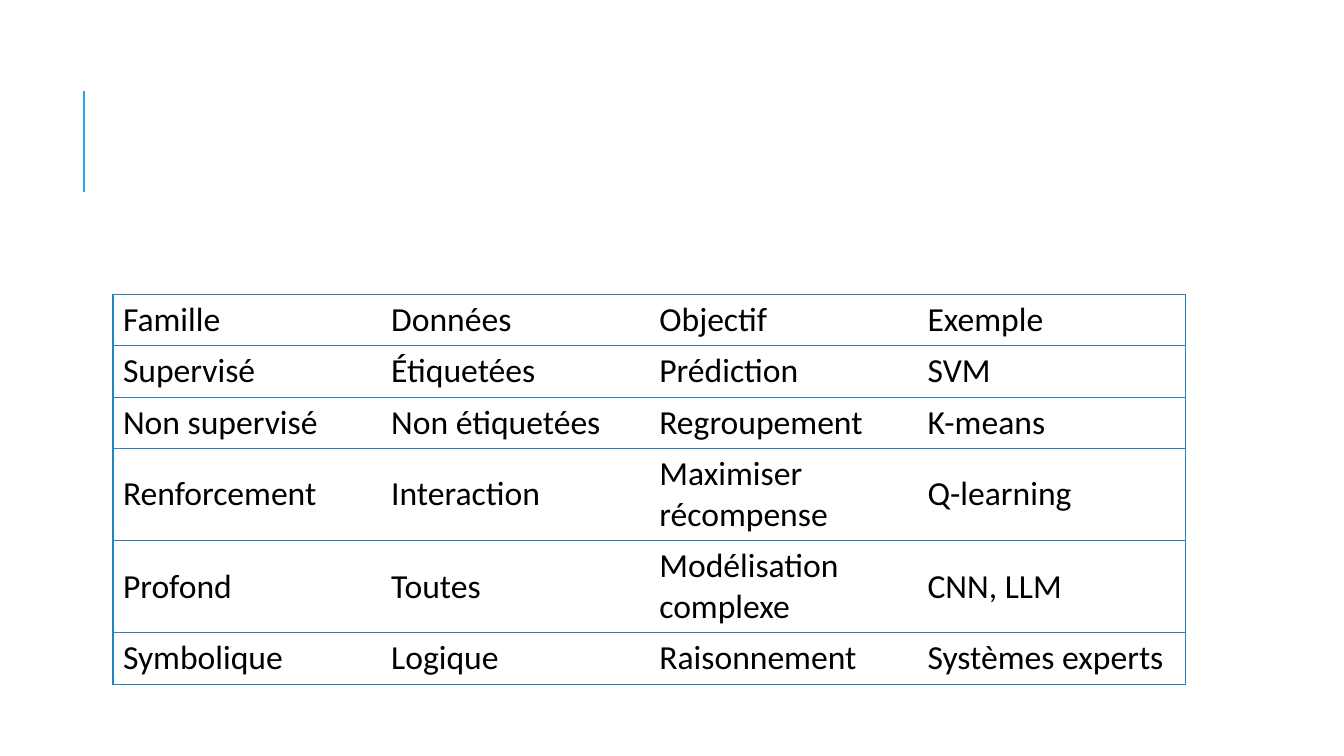
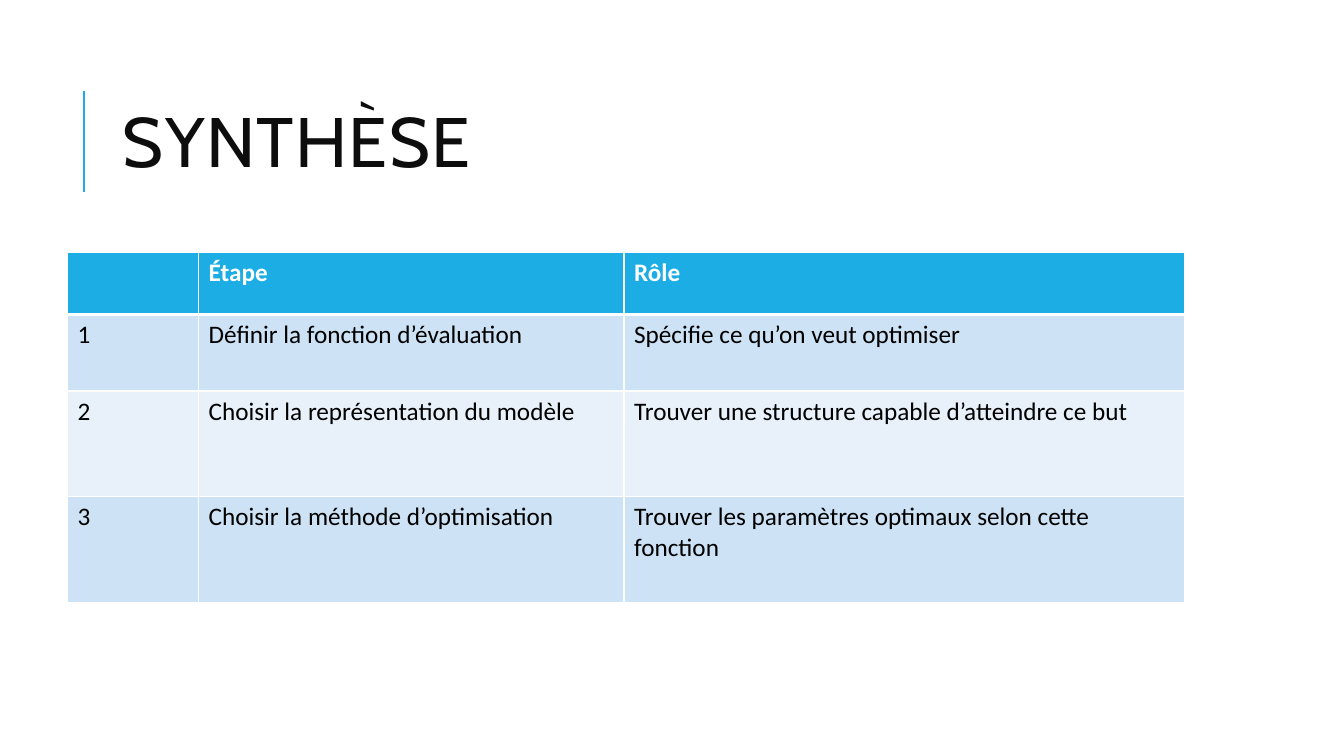
"""Builds two slides: a table of learning families and a summary table."""
from lxml import etree
from pptx import Presentation
from pptx.dml.color import RGBColor
from pptx.enum.shapes import MSO_CONNECTOR
from pptx.enum.text import MSO_ANCHOR
from pptx.oxml.ns import qn
from pptx.util import Pt

SCALE = 9144
STRAIGHT = MSO_CONNECTOR.STRAIGHT
TOP = MSO_ANCHOR.TOP
MIDDLE = MSO_ANCHOR.MIDDLE

WHITE = RGBColor(0xFF, 0xFF, 0xFF)
BLACK = RGBColor(0x00, 0x00, 0x00)
INK = RGBColor(0x0D, 0x0D, 0x0D)
CYAN = RGBColor(0x1C, 0xAD, 0xE4)
BLUE = RGBColor(0x26, 0x83, 0xC6)
PALE = RGBColor(0xCD, 0xE3, 0xF5)
LIGHT = RGBColor(0xE8, 0xF1, 0xFA)

TITLE_FONT = "Cabin"
BODY_FONT = "Calibri"

FAMILIES = [
    ["Famille", "Données", "Objectif", "Exemple"],
    ["Supervisé", "Étiquetées", "Prédiction", "SVM"],
    ["Non supervisé", "Non étiquetées", "Regroupement", "K-means"],
    ["Renforcement", "Interaction", "Maximiser récompense", "Q-learning"],
    ["Profond", "Toutes", "Modélisation complexe", "CNN, LLM"],
    ["Symbolique", "Logique", "Raisonnement", "Systèmes experts"],
]
STEPS = [
    ["", "Étape", "Rôle"],
    ["1", "Définir la fonction d’évaluation", "Spécifie ce qu’on veut optimiser"],
    ["2", "Choisir la représentation du modèle",
     "Trouver une structure capable d’atteindre ce but"],
    ["3", "Choisir la méthode d’optimisation",
     "Trouver les paramètres optimaux selon cette fonction"],
]


def px(*values):
    """Turn pixel lengths into a list of EMU lengths."""
    return [value * SCALE for value in values]


def style(para, size, color, name=BODY_FONT, bold=False):
    """Format every run of a paragraph."""
    for run in para.runs:
        font = run.font
        font.size, font.name, font.bold = Pt(size), name, bold
        font.color.rgb = color


def add_page(deck):
    """Add a blank slide with the accent bar beside the title area."""
    slide = deck.slides.add_slide(deck.slide_layouts[6])
    bar = slide.shapes.add_connector(STRAIGHT, *px(83, 190, 83, 90))
    bar.line.color.rgb = CYAN
    bar.line.width = Pt(1.5)
    etree.SubElement(bar.element.spPr, qn("a:effectLst"))
    return slide


def add_title(slide, text):
    """Add the slide title."""
    frame = slide.shapes.add_textbox(*px(112, 64, 1063, 164)).text_frame
    frame.word_wrap = True
    frame.vertical_anchor = MIDDLE
    frame.text = text
    para = frame.paragraphs[0]
    para.line_spacing = 0.8
    style(para, 50, INK, TITLE_FONT)
    para.runs[0].font._element.set("spc", "100")


def set_edge(cell, side, color, width):
    """Draw one cell border, or clear it when the colour is None."""
    props = cell._tc.get_or_add_tcPr()
    edge = etree.SubElement(props, qn(f"a:ln{side}"), w=str(Pt(width)))
    if color is None:
        etree.SubElement(edge, qn("a:noFill"))
    else:
        fill = etree.SubElement(edge, qn("a:solidFill"))
        etree.SubElement(fill, qn("a:srgbClr"), val=str(color))


def set_cell(cell, text, size, color, fill, edges, anchor=TOP, bold=False):
    """Fill one cell with text, borders and a background."""
    for side, (line, width) in zip("LRTB", edges):
        set_edge(cell, side, line, width)
    cell.fill.solid()
    cell.fill.fore_color.rgb = fill
    cell.vertical_anchor = anchor
    cell.text = text
    style(cell.text_frame.paragraphs[0], size, color, bold=bold)


def add_grid(slide, left, top, widths, heights):
    """Add a plain table with the given column widths and row heights."""
    box = px(left, top, sum(widths), sum(heights))
    table = slide.shapes.add_table(len(heights), len(widths), *box).table
    table.first_row = table.horz_banding = False
    for column, width in zip(table.columns, px(*widths)):
        column.width = width
    for row, height in zip(table.rows, px(*heights)):
        row.height = height
    return table


def add_families(slide):
    """Add the ruled table of learning families."""
    table = add_grid(slide, 112, 292, [266] * 4, [51, 51, 51, 91, 91, 51])
    rule, blank = (BLUE, 1), (None, 1)
    for r, row in enumerate(FAMILIES):
        last = len(row) - 1
        for c, text in enumerate(row):
            edges = [rule if c == 0 else blank, rule if c == last else blank,
                     rule, rule]
            set_cell(table.cell(r, c), text, 24, BLACK, WHITE, edges, MIDDLE)


def add_steps(slide):
    """Add the banded table of steps."""
    table = add_grid(slide, 67, 250, [130, 422, 556], [62, 76, 105, 105])
    thin, thick = (WHITE, 1), (WHITE, 3)
    for r, row in enumerate(STEPS):
        head = r == 0
        fill = CYAN if head else PALE if r % 2 else LIGHT
        edges = [thin, thin, thick if r == 1 else thin, thick if head else thin]
        for c, text in enumerate(row):
            set_cell(table.cell(r, c), text, 18, WHITE if head else BLACK,
                     fill, edges, bold=head)


def main():
    """Build and save the deck."""
    deck = Presentation()
    deck.slide_width, deck.slide_height = px(1333, 750)
    add_families(add_page(deck))
    summary = add_page(deck)
    add_title(summary, "SYNTHÈSE")
    add_steps(summary)
    deck.save("out.pptx")


if __name__ == "__main__":
    main()
